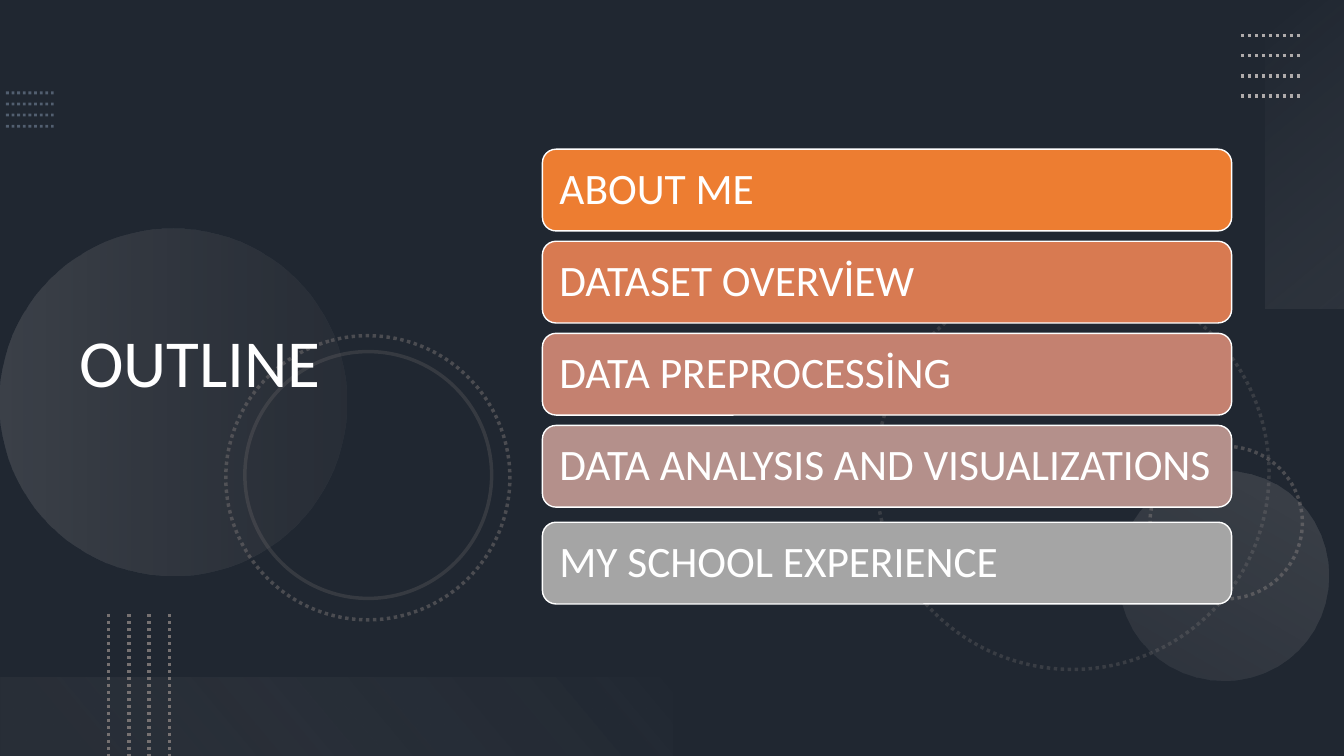
from dataclasses import dataclass

from lxml.etree import SubElement
from pptx import Presentation
from pptx.dml.color import RGBColor
from pptx.enum.dml import MSO_LINE
from pptx.enum.shapes import MSO_CONNECTOR, MSO_SHAPE
from pptx.enum.text import MSO_ANCHOR, PP_ALIGN
from pptx.oxml.ns import qn
from pptx.util import Cm, Pt


@dataclass(frozen=True)
class Theme:
    font: str = "Calibri"
    title_size: float = 48
    item_size: float = 31
    background: str = "44546A"
    veil: str = "000000"
    text: str = "FFFFFF"
    blue_dots: str = "8497B0"
    gray: str = "767171"
    light_gray: str = "AFABAB"
    pale: str = "F5F5F5"
    item_fills: tuple = ("ED7D31", "D87A51", "C48170", "B4908B", "A5A5A5")


def set_opacity(element, *percents):
    """Give the RGB colours inside element, in order, these opacities."""
    for color, percent in zip(element.iter(qn("a:srgbClr")), percents):
        SubElement(color, qn("a:alpha"), val=str(percent * 1000))


def write_text(shape, text, *, size, color, font, margins=None):
    frame = shape.text_frame
    frame.word_wrap = True
    frame.vertical_anchor = MSO_ANCHOR.MIDDLE
    if margins:
        frame.margin_left, frame.margin_right = map(Cm, margins)
    paragraph = frame.paragraphs[0]
    paragraph.alignment = PP_ALIGN.LEFT
    paragraph.line_spacing = 0.9
    run = paragraph.add_run()
    run.text = text
    run.font.size = Pt(size)
    run.font.name = font
    run.font.color.rgb = RGBColor.from_string(color)


class SlideBuilder:
    def __init__(self, slide, theme):
        self.slide = slide
        self.theme = theme
        slide.background.fill.solid()
        slide.background.fill.fore_color.rgb = RGBColor.from_string(theme.background)

    def shape(self, kind, box, *, fill=None, opacity=100, rotation=0):
        shape = self.slide.shapes.add_shape(kind, *map(Cm, box))
        shape.shadow.inherit = False
        shape.rotation = rotation
        shape.line.fill.background()
        if fill:
            shape.fill.solid()
            shape.fill.fore_color.rgb = RGBColor.from_string(fill)
            if opacity < 100:
                set_opacity(shape._element.spPr, opacity)
        else:
            shape.fill.background()
        return shape

    def gradient(self, kind, box, *, stops, angle, rotation):
        """Draw a shape whose stops are (position, colour, opacity); angle is clockwise."""
        shape = self.shape(kind, box, rotation=rotation)
        shape.fill.gradient()
        shape.fill.gradient_angle = 360 - angle
        for stop, (position, color, _) in zip(shape.fill.gradient_stops, stops):
            stop.position = position
            stop.color.rgb = RGBColor.from_string(color)
        set_opacity(shape._element.spPr, *(opacity for _, _, opacity in stops))

    def stroke(self, line, color, width, *, dotted=False):
        line.color.rgb = RGBColor.from_string(color)
        line.width = Pt(width)
        if dotted:
            line.dash_style = MSO_LINE.ROUND_DOT

    def ring(self, left, top, diameter, *, opacity, dotted=True):
        shape = self.shape(MSO_SHAPE.OVAL, (left, top, diameter, diameter), rotation=75)
        self.stroke(shape.line, self.theme.gray, 2.5, dotted=dotted)
        set_opacity(shape._element.spPr, opacity)

    def dotted_lines(self, start, length, step, color, *, width=2.5, opacity=100, vertical=False):
        """Draw four parallel dotted lines, step apart."""
        for index in range(4):
            x, y = start
            if vertical:
                x += index * step
                end = (x, y + length)
            else:
                y += index * step
                end = (x + length, y)
            line = self.slide.shapes.add_connector(
                MSO_CONNECTOR.STRAIGHT, Cm(x), Cm(y), *map(Cm, end))
            self.stroke(line.line, color, width, dotted=True)
            properties = line._element.spPr
            if opacity < 100:
                set_opacity(properties, opacity)
            SubElement(properties, qn("a:effectLst"))

    def title(self, text, box):
        theme = self.theme
        write_text(self.slide.shapes.add_textbox(*map(Cm, box)), text,
                   size=theme.title_size, color=theme.text, font=theme.font)

    def item(self, text, box, fill):
        theme = self.theme
        shape = self.shape(MSO_SHAPE.ROUNDED_RECTANGLE, box, fill=fill)
        self.stroke(shape.line, theme.text, 1)
        write_text(shape, text, size=theme.item_size, color=theme.text,
                   font=theme.font, margins=(0.33, 0.1))


def draw_backdrop(builder):
    theme = builder.theme
    builder.shape(MSO_SHAPE.RECTANGLE, (0, 0, 33.87, 19.05), fill=theme.veil, opacity=53)
    builder.dotted_lines((0.15, 2.34), 1.2, 0.28, theme.blue_dots, width=2, opacity=50)
    builder.ring(22.07, 6.96, 9.91, opacity=30)
    builder.ring(28.98, 11.25, 3.84, opacity=50)
    builder.gradient(MSO_SHAPE.OVAL, (0, 5.77, 8.74, 8.74), angle=90, rotation=270,
                     stops=((0, theme.light_gray, 20), (1, theme.gray, 10)))
    builder.gradient(MSO_SHAPE.OVAL, (28.19, 11.86, 5.28, 5.28), angle=90, rotation=210,
                     stops=((0, theme.light_gray, 10), (1, theme.light_gray, 20)))
    builder.ring(5.69, 8.46, 7.16, opacity=50)
    builder.ring(6.17, 8.86, 6.22, opacity=25, dotted=False)
    builder.gradient(MSO_SHAPE.RECTANGLE, (29.01, 2.9, 7.77, 1.98), angle=140, rotation=270,
                     stops=((0, theme.pale, 0), (1, theme.light_gray, 10)))
    builder.dotted_lines((31.27, 0.89), 1.52, 0.51, theme.light_gray)
    builder.gradient(MSO_SHAPE.RECTANGLE, (0, 17.07, 16.94, 1.98), angle=140, rotation=180,
                     stops=((0.1, theme.gray, 10), (1, theme.pale, 0)))
    builder.dotted_lines((2.74, 15.47), 3.58, 0.51, theme.gray, vertical=True)


def draw_outline(builder):
    items = ("ABOUT ME", "DATASET OVERVİEW", "DATA PREPROCESSİNG",
             "DATA ANALYSIS AND VISUALIZATIONS", "MY SCHOOL EXPERIENCE")
    first_top, step, last_offset = 3.76, 2.32, 0.12
    builder.title("OUTLINE", (1.75, 1.37, 11.66, 15.67))
    for index, (text, fill) in enumerate(zip(items, builder.theme.item_fills)):
        top = first_top + index * step
        if index == len(items) - 1:
            top += last_offset
        builder.item(text, (13.67, top, 17.37, 2.06), fill)


def main():
    presentation = Presentation()
    presentation.slide_width = Cm(33.87)
    presentation.slide_height = Cm(19.05)
    slide = presentation.slides.add_slide(presentation.slide_layouts[6])
    builder = SlideBuilder(slide, Theme())
    draw_backdrop(builder)
    draw_outline(builder)
    presentation.save("out.pptx")


if __name__ == "__main__":
    main()
